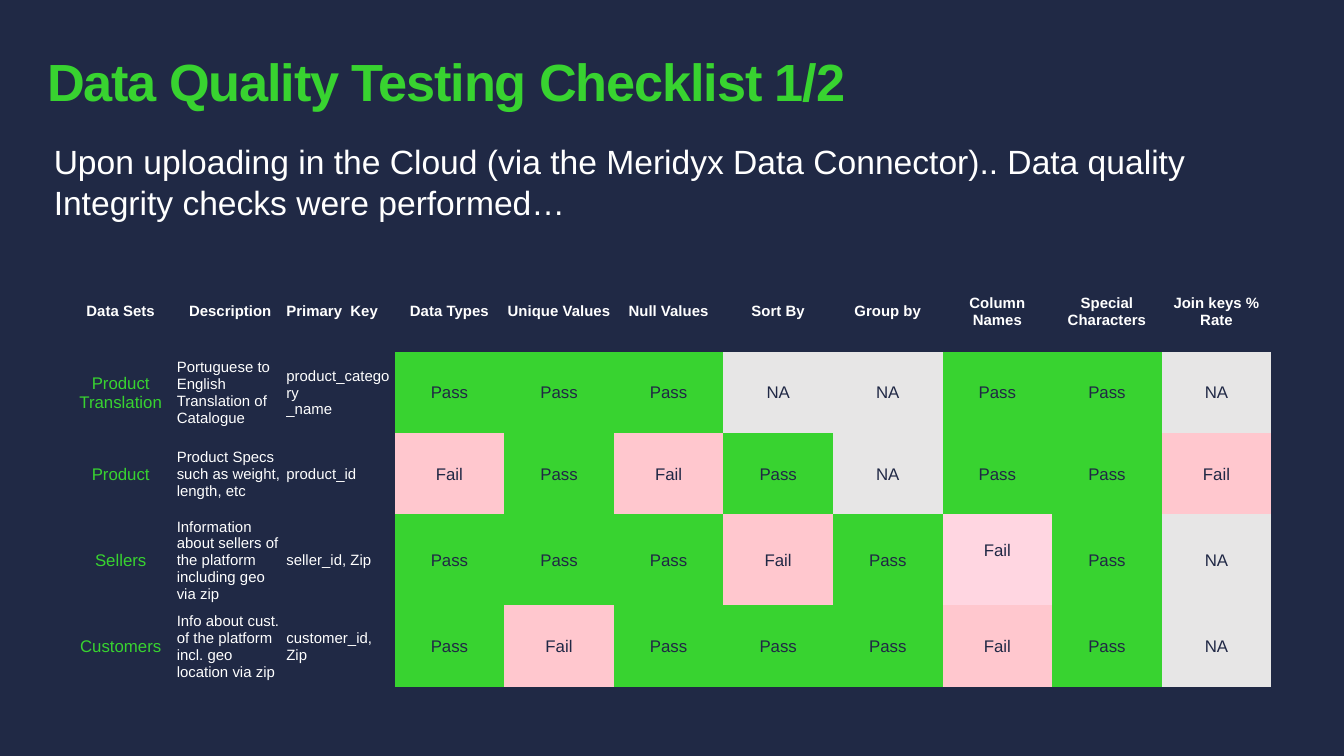
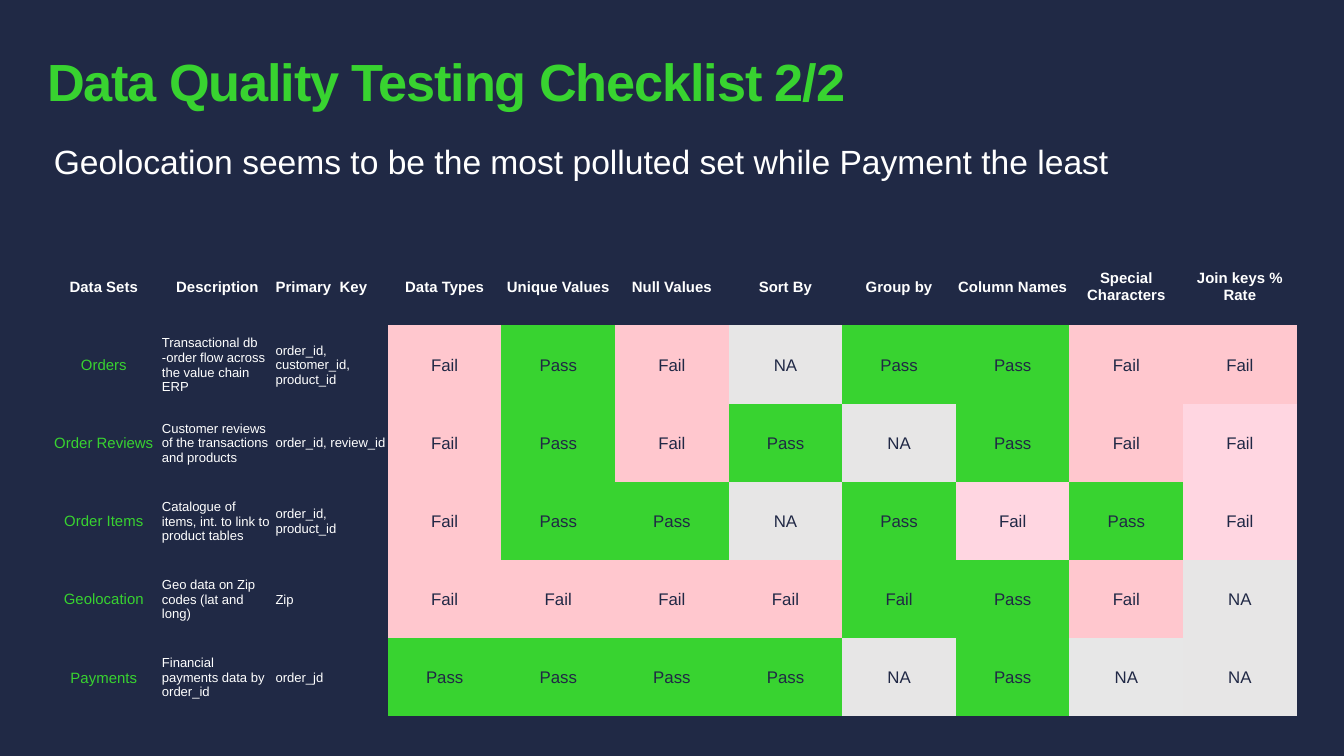
import dataclasses
import typing

import lxml.etree
import pptx
import pptx.dml.color
import pptx.enum.text
import pptx.oxml.ns
import pptx.util

Align = pptx.enum.text.PP_ALIGN
Anchor = pptx.enum.text.MSO_ANCHOR
AutoSize = pptx.enum.text.MSO_AUTO_SIZE

SLIDE_WIDTH = pptx.util.Inches(10)
SLIDE_HEIGHT = SLIDE_WIDTH * 9 // 16
GRID_COLUMNS = 100
GRID_ROWS = 56.25
NO_GRID_STYLE = "{2D5ABB26-0587-4C30-8999-92F81FD0307C}"


@dataclasses.dataclass(frozen=True)
class Theme:
    font: str = "Arial"
    background: str = "202945"
    green: str = "38D330"
    white: str = "FFFFFF"
    ink: str = "202845"
    red: str = "FFC7CE"
    pink: str = "FFD6E1"
    gray: str = "E7E6E6"
    light_gray: str = "E7E7E7"
    title_size: float = 28
    lead_size: float = 18
    header_size: float = 8
    verdict_size: float = 9


THEME = Theme()


@dataclasses.dataclass(frozen=True)
class Area:
    column: float
    row: float
    columns: float
    rows: float

    def box(self) -> tuple[int, int, int, int]:
        across = SLIDE_WIDTH / GRID_COLUMNS
        down = SLIDE_HEIGHT / GRID_ROWS
        return (
            round(self.column * across),
            round(self.row * down),
            round(self.columns * across),
            round(self.rows * down),
        )


class Verdict(typing.NamedTuple):
    label: str
    fill: str
    bottom_margin: float = 0


class DataSet(typing.NamedTuple):
    name: str
    description: str
    primary_key: str
    verdicts: str


@dataclasses.dataclass(frozen=True)
class Checklist:
    title: str
    lead: str
    lead_rows: float
    table_area: Area
    name_size: float
    detail_size: float
    data_sets: tuple[DataSet, ...]


VERDICTS = {
    "P": Verdict("Pass", THEME.green),
    "F": Verdict("Fail", THEME.red),
    "N": Verdict("NA", THEME.gray),
    "S": Verdict("Fail", THEME.pink),
    "R": Verdict("Fail", THEME.pink, bottom_margin=0.14),
    "G": Verdict("Fail", THEME.green),
    "L": Verdict("NA", THEME.light_gray),
}

HEADERS = (
    "Data Sets", "Description", "Primary  Key", "Data Types",
    "Unique Values", "Null Values", "Sort By", "Group by",
    "Column Names", "Special Characters", "Join keys % Rate",
)
KEY_COLUMN = HEADERS.index("Primary  Key")

TITLE_AREA = Area(3.5, 4.2, 82.7, 5.6)

CHECKLISTS = (
    Checklist(
        title="Data Quality Testing Checklist 1/2",
        lead="Upon uploading in the Cloud (via the Meridyx Data Connector).. "
             "Data quality Integrity checks were performed…",
        lead_rows=7.1,
        table_area=Area(4.9, 20.1, 89.7, 30.3),
        name_size=9,
        detail_size=8,
        data_sets=(
            DataSet("Product Translation",
                    "Portuguese to English Translation of Catalogue",
                    "product_category\n_name", "PPPNNPPN"),
            DataSet("Product", "Product Specs such as weight, length, etc",
                    "product_id", "FPFPNPPF"),
            DataSet("Sellers",
                    "Information about sellers of the platform including geo via zip",
                    "seller_id, Zip", "PPPFPRPN"),
            DataSet("Customers",
                    "Info about cust. of the platform incl. geo location via zip",
                    "customer_id, Zip", "PFPPPFPN"),
        ),
    ),
    Checklist(
        title="Data Quality Testing Checklist 2/2",
        lead="Geolocation seems to be the most polluted set while Payment the least",
        lead_rows=4,
        table_area=Area(3.5, 18.4, 93, 34.9),
        name_size=8,
        detail_size=7,
        data_sets=(
            DataSet("Orders",
                    "Transactional db -order flow across the value chain ERP",
                    "order_id, customer_id, product_id", "FPFNPPFF"),
            DataSet("Order Reviews",
                    "Customer reviews of the transactions and products",
                    "order_id, review_id", "FPFPNPFS"),
            DataSet("Order Items",
                    "Catalogue of items, int. to link to product tables",
                    "order_id, product_id", "FPPNPSPS"),
            DataSet("Geolocation", "Geo data on Zip codes (lat and long)",
                    "Zip", "FFFFGPFN"),
            DataSet("Payments", "Financial payments data by order_id",
                    "order_jd", "PPPPNPLN"),
        ),
    ),
)


def write_text(frame, text: str, *, size: float, color: str, bold: bool = False,
               align=Align.LEFT, line_spacing: float = 1.0,
               tracking: float = 0, bullet_off: bool = False) -> None:
    for index, line in enumerate(text.split("\n")):
        paragraph = frame.add_paragraph() if index else frame.paragraphs[0]
        if bullet_off:
            properties = paragraph._p.get_or_add_pPr()
            properties.set("marL", "0")
            properties.set("indent", "0")
            lxml.etree.SubElement(properties, pptx.oxml.ns.qn("a:buNone"))
        paragraph.alignment = align
        paragraph.line_spacing = line_spacing
        paragraph.space_before = pptx.util.Pt(0)
        run = paragraph.add_run()
        run.text = line
        run.font.name = THEME.font
        run.font.size = pptx.util.Pt(size)
        run.font.bold = bold
        run.font.color.rgb = pptx.dml.color.RGBColor.from_string(color)
        if tracking:
            run._r.get_or_add_rPr().set("spc", str(round(tracking * 100)))


def place(shape, area: Area) -> None:
    shape.left, shape.top, shape.width, shape.height = area.box()
    shape.text_frame.word_wrap = True
    shape.text_frame.vertical_anchor = Anchor.TOP


def add_heading(slide, checklist: Checklist) -> None:
    title = slide.shapes.title
    place(title, TITLE_AREA)
    frame = title.text_frame
    frame.auto_size = AutoSize.NONE
    frame.margin_left = frame.margin_top = frame.margin_right = frame.margin_bottom = 0
    write_text(frame, checklist.title, size=THEME.title_size, color=THEME.green,
               bold=True, line_spacing=0.9, tracking=-0.6)

    lead = slide.placeholders[1]
    place(lead, Area(3, 10, 93.5, checklist.lead_rows))
    lead.text_frame.auto_size = AutoSize.SHAPE_TO_FIT_TEXT
    write_text(lead.text_frame, checklist.lead, size=THEME.lead_size,
               color=THEME.white, bullet_off=True)


def write_cell(cell, text: str, *, fill: typing.Optional[str] = None,
               bottom_margin: float = 0, **text_format) -> None:
    cell.vertical_anchor = Anchor.MIDDLE
    cell.margin_left = cell.margin_top = cell.margin_right = pptx.util.Inches(0.01)
    cell.margin_bottom = pptx.util.Inches(bottom_margin)
    if fill:
        cell.fill.solid()
        cell.fill.fore_color.rgb = pptx.dml.color.RGBColor.from_string(fill)
    else:
        cell.fill.background()
    write_text(cell.text_frame, text, **text_format)


def add_check_table(slide, checklist: Checklist) -> None:
    left, top, width, height = checklist.table_area.box()
    row_count = len(checklist.data_sets) + 1
    table = slide.shapes.add_table(
        row_count, len(HEADERS), left, top, width, height).table
    table.first_row = table.horz_banding = False
    table._tbl.tblPr.find(pptx.oxml.ns.qn("a:tableStyleId")).text = NO_GRID_STYLE
    for column in table.columns:
        column.width = width // len(HEADERS)
    for row in table.rows:
        row.height = height // row_count

    for column, header in enumerate(HEADERS):
        write_cell(table.cell(0, column), header, size=THEME.header_size,
                   color=THEME.white, bold=True,
                   align=Align.LEFT if column == KEY_COLUMN else Align.CENTER)

    for row, data_set in enumerate(checklist.data_sets, start=1):
        write_cell(table.cell(row, 0), data_set.name, size=checklist.name_size,
                   color=THEME.green, align=Align.CENTER)
        details = (data_set.description, data_set.primary_key)
        for column, detail in enumerate(details, start=1):
            write_cell(table.cell(row, column), detail,
                       size=checklist.detail_size, color=THEME.white)
        for column, code in enumerate(data_set.verdicts, start=KEY_COLUMN + 1):
            verdict = VERDICTS[code]
            write_cell(table.cell(row, column), verdict.label, fill=verdict.fill,
                       bottom_margin=verdict.bottom_margin,
                       size=THEME.verdict_size, color=THEME.ink,
                       align=Align.CENTER)


def main() -> None:
    presentation = pptx.Presentation()
    presentation.slide_width = SLIDE_WIDTH
    presentation.slide_height = SLIDE_HEIGHT
    background = presentation.slide_master.background.fill
    background.solid()
    background.fore_color.rgb = pptx.dml.color.RGBColor.from_string(THEME.background)
    for checklist in CHECKLISTS:
        slide = presentation.slides.add_slide(presentation.slide_layouts[1])
        add_heading(slide, checklist)
        add_check_table(slide, checklist)
    presentation.save("out.pptx")


if __name__ == "__main__":
    main()
